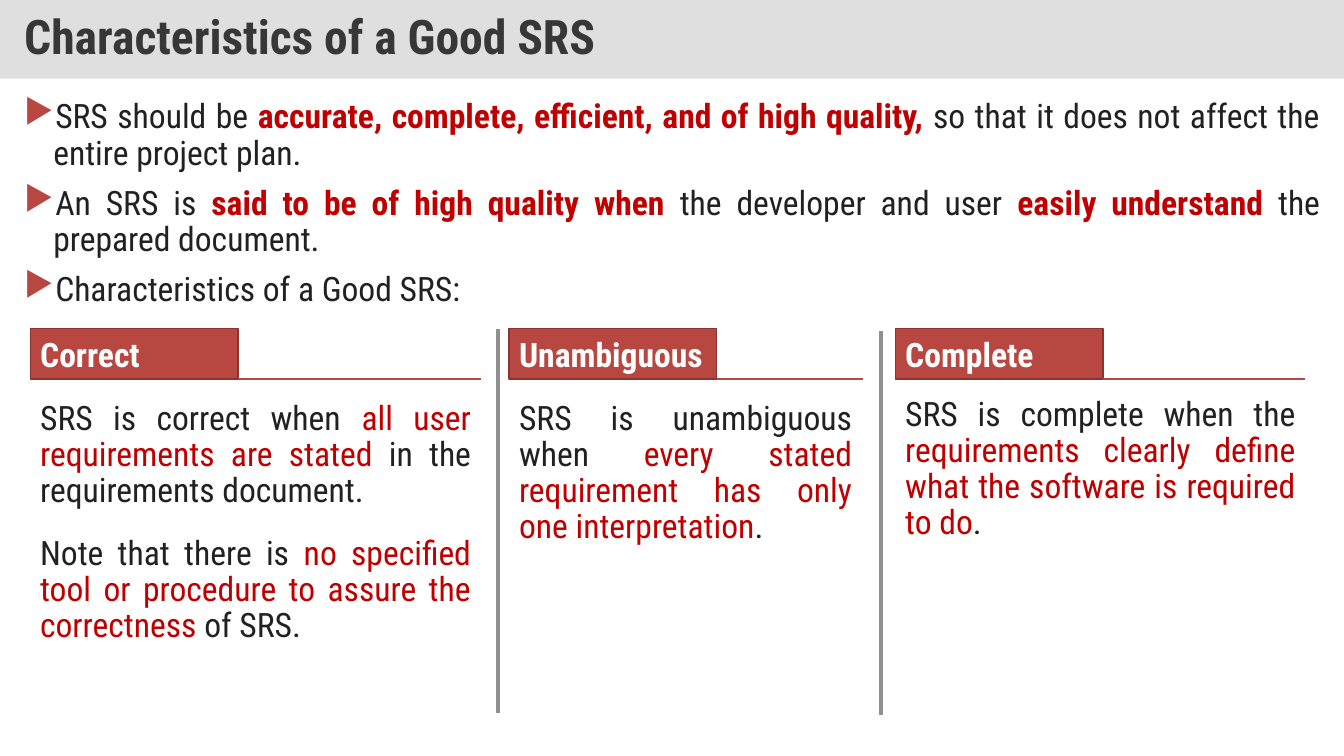
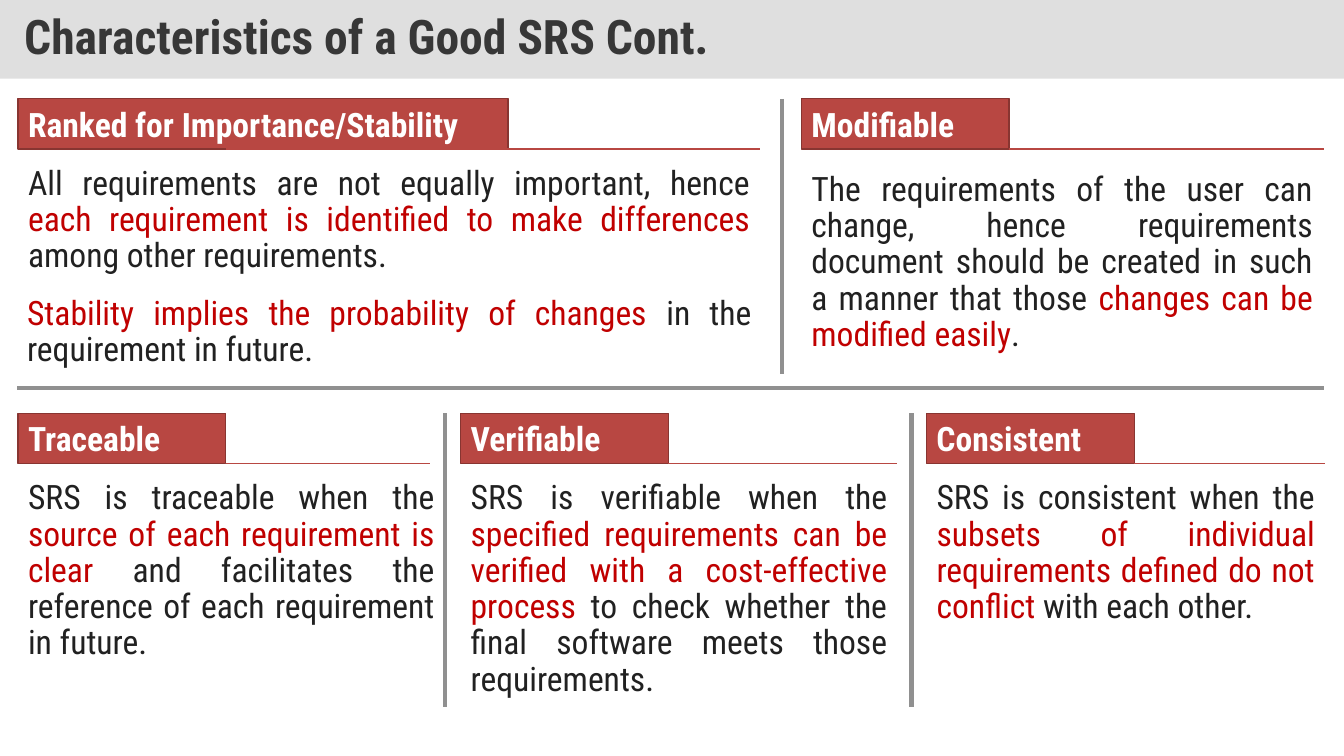
"""Build two slides on the characteristics of a good software requirements specification."""
from dataclasses import dataclass
from typing import NamedTuple

from lxml import etree
from pptx import Presentation
from pptx.dml.color import RGBColor
from pptx.enum.shapes import MSO_CONNECTOR, MSO_SHAPE
from pptx.enum.text import MSO_ANCHOR, MSO_AUTO_SIZE, PP_ALIGN
from pptx.oxml.ns import qn
from pptx.util import Pt

STRAIGHT = MSO_CONNECTOR.STRAIGHT
RECT = MSO_SHAPE.RECTANGLE
MIDDLE, TOP = MSO_ANCHOR.MIDDLE, MSO_ANCHOR.TOP
LEFT, JUSTIFY = PP_ALIGN.LEFT, PP_ALIGN.JUSTIFY
NO_AUTOFIT = MSO_AUTO_SIZE.NONE
PX = 9144
SLIDE_W, SLIDE_H = 1333, 750
TITLE_H = 78
TAG_W, TAG_H = 206, 50
BULLET_INDENT = 29
TITLE_ONLY = 5


@dataclass(frozen=True)
class Theme:
    font: str = "Roboto Condensed"
    band: str = "C0C0C0"
    band_alpha: int = 50
    title: str = "373737"
    ink: str = "212121"
    key: str = "C00000"
    tag: str = "B84742"
    tag_edge: str = "883531"
    divider: str = "909090"
    white: str = "FFFFFF"
    title_pt: int = 34
    body_pt: int = 24
    gap_pt: int = 10
    rule_pt: int = 1
    divider_pt: int = 3
    spacing: float = 0.9


THEME = Theme()


class Box(NamedTuple):
    x: int
    y: int
    w: int
    h: int


class Line(NamedTuple):
    x1: int
    y1: int
    x2: int
    y2: int


class Span(NamedTuple):
    text: str
    key: bool = False


class Note(NamedTuple):
    box: Box
    spans: tuple[Span, ...]


@dataclass(frozen=True)
class Card:
    label: str
    x: int
    y: int
    rule_end: int
    notes: tuple[Note, ...]
    tag_w: int = TAG_W


@dataclass(frozen=True)
class Page:
    title: str
    cards: tuple[Card, ...]
    dividers: tuple[Line, ...]
    bullets: tuple[tuple[Span, ...], ...] = ()


BULLETS_BOX = Box(14, 94, 1305, 231)

PAGES = (
    Page(
        "Characteristics of a Good SRS",
        cards=(
            Card("Correct", 30, 326, 477, (
                Note(Box(30, 393, 447, 120), (
                    Span("SRS is correct when "),
                    Span("all user requirements are stated ", True),
                    Span("in the requirements document."))),
                Note(Box(30, 527, 447, 122), (
                    Span("Note that there is "),
                    Span("no specified tool or procedure to assure the correctness ", True),
                    Span("of SRS."))))),
            Card("Unambiguous", 505, 326, 856, (
                Note(Box(505, 393, 350, 164), (
                    Span("SRS is unambiguous when "),
                    Span("every stated requirement has only one interpretation", True),
                    Span("."))),)),
            Card("Complete", 888, 326, 1294, (
                Note(Box(888, 389, 407, 168), (
                    Span("SRS is complete when the "),
                    Span("requirements clearly define what the software is required to do", True),
                    Span("."))),)),
        ),
        dividers=(Line(494, 326, 494, 707), Line(874, 328, 874, 709)),
        bullets=(
            (Span("SRS should be "),
             Span("accurate, complete, efficient, and of high quality, ", True),
             Span("so that it does not affect the entire project plan.")),
            (Span("An SRS is "),
             Span("said to be of high quality when ", True),
             Span("the developer and user "),
             Span("easily understand ", True),
             Span("the prepared document.")),
            (Span("Characteristics of a Good SRS:"),),
        ),
    ),
    Page(
        "Characteristics of a Good SRS Cont.",
        cards=(
            Card("Ranked for Importance/Stability", 18, 98, 754, (
                Note(Box(18, 160, 736, 122), (
                    Span("All requirements are not equally important, hence "),
                    Span("each requirement is identified to make differences ", True),
                    Span("among other requirements."))),
                Note(Box(17, 289, 738, 82), (
                    Span("Stability implies the probability of changes ", True),
                    Span("in the requirement in future.")))), tag_w=486),
            Card("Modifiable", 795, 98, 1313, (
                Note(Box(795, 166, 517, 192), (
                    Span("The requirements of the user can change, hence requirements "
                         "document should be created in such a manner that those "),
                    Span("changes can be modified easily", True),
                    Span("."))),)),
            Card("Traceable", 18, 410, 427, (
                Note(Box(18, 472, 423, 229), (
                    Span("SRS is traceable when the"),
                    Span(" source of each requirement is clear ", True),
                    Span("and facilitates the reference of each requirement in future."))),)),
            Card("Verifiable", 457, 410, 890, (
                Note(Box(457, 472, 433, 229), (
                    Span("SRS is verifiable when the "),
                    Span("specified requirements can be verified with a "
                         "cost-effective process ", True),
                    Span("to check whether the final software meets those requirements."))),)),
            Card("Consistent", 919, 410, 1314, (
                Note(Box(919, 472, 395, 163), (
                    Span("SRS is consistent when the "),
                    Span("subsets of individual requirements defined do not conflict ", True),
                    Span("with each other."))),)),
        ),
        dividers=(Line(776, 98, 776, 371), Line(17, 385, 1313, 385),
                  Line(441, 410, 441, 701), Line(904, 410, 904, 701)),
    ),
)


def rgb(color: str) -> RGBColor:
    """Turn a hex string into a colour."""
    return RGBColor.from_string(color)


def emu(lengths: tuple[int, ...]) -> list[int]:
    """Scale pixel lengths to EMU."""
    return [n * PX for n in lengths]


def add_run(p, text: str, size: int, color: str, bold: bool = False) -> None:
    """Append one formatted run to a paragraph."""
    r = p.add_run()
    r.text = text
    r.font.name = THEME.font
    r.font.size = Pt(size)
    r.font.bold = bold
    r.font.color.rgb = rgb(color)


def add_spans(p, spans: tuple[Span, ...], bold_key: bool = False) -> None:
    """Fill a justified paragraph with plain and highlighted runs."""
    p.alignment = JUSTIFY
    p.line_spacing = THEME.spacing
    for span in spans:
        color = THEME.key if span.key else THEME.ink
        add_run(p, span.text, THEME.body_pt, color, span.key and bold_key)


def set_title(s, text: str) -> None:
    """Turn the title placeholder into the translucent top band."""
    sp = s.shapes.title
    sp.left, sp.top, sp.width, sp.height = emu((0, 0, SLIDE_W, TITLE_H))
    sp.fill.solid()
    sp.fill.fore_color.rgb = rgb(THEME.band)
    clr = sp.fill._xPr.find(f"{qn('a:solidFill')}/{qn('a:srgbClr')}")
    etree.SubElement(clr, qn("a:alpha"), val=str(THEME.band_alpha * 1000))
    tf = sp.text_frame
    tf.auto_size = NO_AUTOFIT
    tf.vertical_anchor = MIDDLE
    tf.margin_left = tf.margin_right = 24 * PX
    tf.margin_top = tf.margin_bottom = 12 * PX
    p = tf.paragraphs[0]
    p.alignment = LEFT
    p.line_spacing = THEME.spacing
    add_run(p, text, THEME.title_pt, THEME.title, True)


def add_line(s, line: Line, color: str, width: int) -> None:
    """Draw a straight line without a shadow."""
    c = s.shapes.add_connector(STRAIGHT, *emu(line))
    c.line.color.rgb = rgb(color)
    c.line.width = Pt(width)
    etree.SubElement(c._element.spPr, qn("a:effectLst"))


def add_bullets(s, bullets: tuple[tuple[Span, ...], ...]) -> None:
    """Add the bulleted introduction."""
    tf = s.shapes.add_textbox(*emu(BULLETS_BOX)).text_frame
    tf.word_wrap = True
    for i, spans in enumerate(bullets):
        p = tf.add_paragraph() if i else tf.paragraphs[0]
        pPr = p._p.get_or_add_pPr()
        pPr.set("marL", str(BULLET_INDENT * PX))
        pPr.set("indent", str(-BULLET_INDENT * PX))
        clr = etree.SubElement(pPr, qn("a:buClr"))
        etree.SubElement(clr, qn("a:srgbClr"), val=THEME.tag)
        etree.SubElement(pPr, qn("a:buChar"), char="▶")
        if i:
            p.space_before = Pt(THEME.gap_pt)
        add_spans(p, spans, bold_key=True)


def add_note(s, note: Note) -> None:
    """Add a white box of body text."""
    sp = s.shapes.add_textbox(*emu(note.box))
    sp.fill.solid()
    sp.fill.fore_color.rgb = rgb(THEME.white)
    sp.text_frame.word_wrap = True
    add_spans(sp.text_frame.paragraphs[0], note.spans)


def add_card(s, card: Card) -> None:
    """Add a tag, its rule and the notes below it."""
    sp = s.shapes.add_shape(RECT, *emu((card.x, card.y, card.tag_w, TAG_H)))
    sp.shadow.inherit = False
    sp.fill.solid()
    sp.fill.fore_color.rgb = rgb(THEME.tag)
    sp.line.color.rgb = rgb(THEME.tag_edge)
    sp.line.width = Pt(THEME.rule_pt)
    tf = sp.text_frame
    tf.word_wrap = True
    tf.vertical_anchor = TOP
    p = tf.paragraphs[0]
    p.alignment = LEFT
    add_run(p, card.label, THEME.body_pt, THEME.white, True)
    base = card.y + TAG_H
    add_line(s, Line(card.x + TAG_W, base, card.rule_end, base), THEME.tag, THEME.rule_pt)
    for note in card.notes:
        add_note(s, note)


def add_page(prs, page: Page) -> None:
    """Build one slide."""
    s = prs.slides.add_slide(prs.slide_layouts[TITLE_ONLY])
    set_title(s, page.title)
    if page.bullets:
        add_bullets(s, page.bullets)
    for card in page.cards:
        add_card(s, card)
    for line in page.dividers:
        add_line(s, line, THEME.divider, THEME.divider_pt)


def main() -> None:
    """Build and save the presentation."""
    prs = Presentation()
    prs.slide_width, prs.slide_height = emu((SLIDE_W, SLIDE_H))
    for page in PAGES:
        add_page(prs, page)
    prs.save("out.pptx")


if __name__ == "__main__":
    main()
